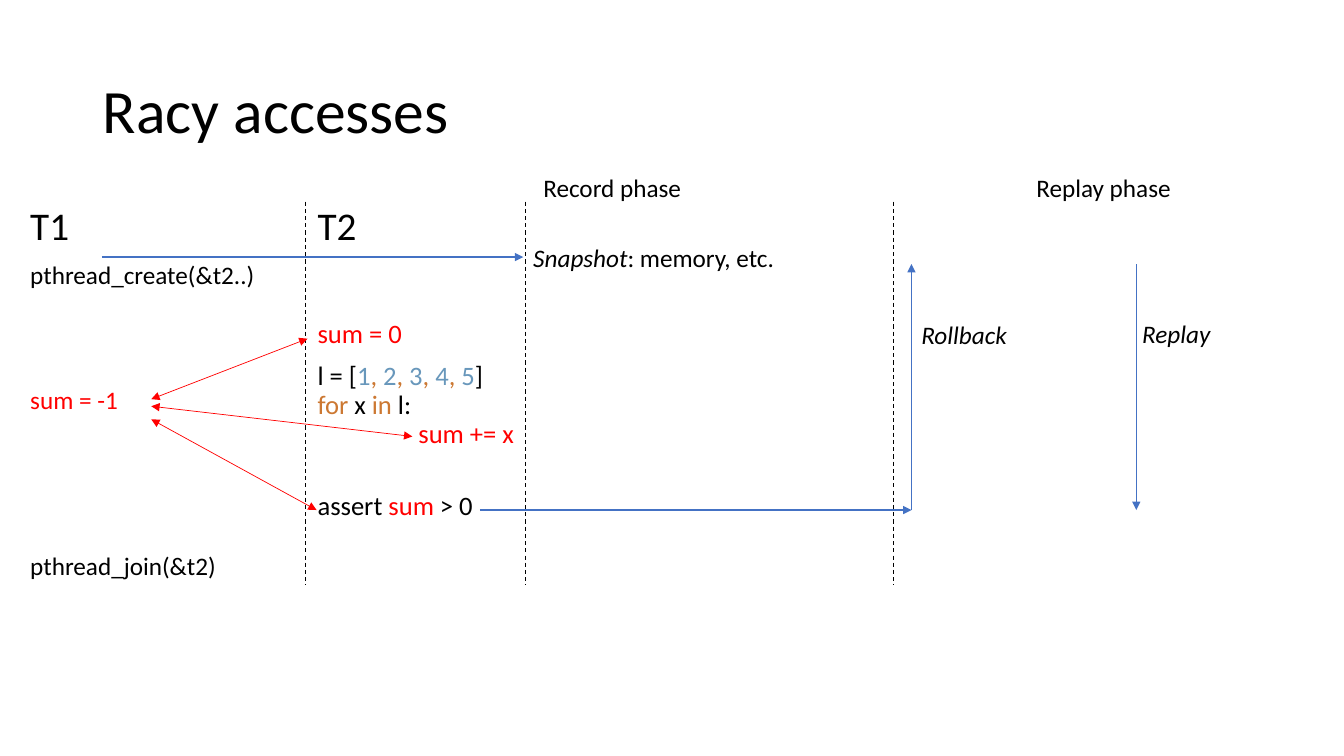
"""Build the slide on racy accesses between two threads."""
from lxml import etree
from pptx import Presentation
from pptx.dml.color import RGBColor
from pptx.enum.dml import MSO_LINE
from pptx.enum.shapes import MSO_CONNECTOR
from pptx.enum.text import MSO_ANCHOR, MSO_AUTO_SIZE, PP_ALIGN
from pptx.oxml.ns import qn
from pptx.util import Inches, Pt

STRAIGHT = MSO_CONNECTOR.STRAIGHT
DASH = MSO_LINE.DASH
TOP, MIDDLE = MSO_ANCHOR.TOP, MSO_ANCHOR.MIDDLE
NO_AUTOFIT = MSO_AUTO_SIZE.NONE
LEFT = PP_ALIGN.LEFT
BLACK, RED, BLUE = "000000", "FF0000", "4472C4"
NUMBER, KEYWORD = "6897BB", "CC7832"


def color(format_object, value):
    format_object.rgb = RGBColor.from_string(value)


def write(paragraph, runs, size, paragraph_format):
    for name, value in paragraph_format.items():
        setattr(paragraph, name, value)
    for text, value, italic in runs:
        run = paragraph.add_run()
        run.text = text
        font_format = {"name": "Calibri", "size": Pt(size), "bold": False, "italic": italic}
        for name, setting in font_format.items():
            setattr(run.font, name, setting)
        color(run.font.color, value)


presentation = Presentation()
presentation.slide_width = Inches(13.33)
presentation.slide_height = Inches(7.5)
slide = presentation.slides.add_slide(presentation.slide_layouts[3])
title, thread_one, thread_two = slide.placeholders

list_runs = [("l = [", BLACK, False)]
for number in range(1, 6):
    if number > 1:
        list_runs.append((", ", KEYWORD, False))
    list_runs.append((str(number), NUMBER, False))
list_runs.append(("]", BLACK, False))

title_lines = [([("Racy accesses", BLACK, False)], 44, 0, 0)]
thread_one_lines = [
    ([("T1", BLACK, False)], 28, 10, 0),
    ([("pthread_create(&t2..)", BLACK, False)], 18, 10, 0),
    ([("sum = -1", RED, False)], 18, 69.5, 0),
    ([("pthread_join(&t2)", BLACK, False)], 18, 99.3, 0),
]
thread_two_lines = [
    ([("T2", BLACK, False)], 28, 10, 0),
    ([("sum = 0", RED, False)], 19, 50.8, 0),
    (list_runs, 19, 10, 0),
    ([("for ", KEYWORD, False), ("x ", BLACK, False), ("in ", KEYWORD, False),
      ("l:", BLACK, False)], 19, 0, 0),
    ([("sum += x", RED, False)], 19, 0, 1),
    ([("assert ", BLACK, False), ("sum", RED, False), (" > 0", BLACK, False)], 19, 30.9, 0),
]
placeholders = [
    (title, (0.92, 0.4, 11.5, 1.45), MIDDLE, title_lines),
    (thread_one, (0.2, 2, 3.06, 3.79), TOP, thread_one_lines),
    (thread_two, (3.05, 2, 2.55, 3.41), TOP, thread_two_lines),
]
for shape, box, anchor, lines in placeholders:
    for name, value in zip(("left", "top", "width", "height"), box):
        setattr(shape, name, Inches(value))
    text_frame = shape.text_frame
    frame_format = {"vertical_anchor": anchor, "auto_size": NO_AUTOFIT, "word_wrap": True}
    for name, value in frame_format.items():
        setattr(text_frame, name, value)
    for index, (runs, size, space, indent) in enumerate(lines):
        paragraph = text_frame.add_paragraph() if index else text_frame.paragraphs[0]
        write(paragraph, runs, size, {"alignment": LEFT, "line_spacing": 0.9,
                                      "space_before": Pt(space), "space_after": Pt(0)})
        properties = paragraph._p.get_or_add_pPr()
        properties.set("marL", str(Inches(indent)))
        properties.set("indent", "0")
        etree.SubElement(properties, qn("a:buNone"))

captions = [
    (5.19, 2.35, 2.62, [("Snapshot", BLACK, True), (": memory, etc.", BLACK, False)]),
    (5.29, 1.66, 1.59, [("Record phase", BLACK, False)]),
    (10.18, 1.66, 1.55, [("Replay phase", BLACK, False)]),
    (9.04, 3.12, 1.06, [("Rollback", BLACK, True)]),
    (11.23, 3.11, 0.88, [("Replay", BLACK, True)]),
]
for left, top, width, runs in captions:
    shape = slide.shapes.add_textbox(Inches(left), Inches(top), Inches(width), Inches(0.4))
    shape.text_frame.word_wrap = False
    write(shape.text_frame.paragraphs[0], runs, 18, {"alignment": LEFT})

dividers = [((x, 2), (x, 5.8), BLACK, 0.75, ()) for x in (3.03, 5.21, 8.86)]
arrows = [
    ((1.01, 2.55), (5.19, 2.55), BLUE, 1, ("tailEnd",)),
    ((4.76, 5.06), (9.04, 5.06), BLUE, 1, ("tailEnd",)),
    ((9.04, 5.06), (9.04, 2.62), BLUE, 1, ("tailEnd",)),
    ((11.27, 5.06), (11.27, 2.62), BLUE, 0.5, ("headEnd",)),
]
races = [
    (start, end, RED, 0.5, ("headEnd", "tailEnd"))
    for start, end in (
        ((1.5, 3.96), (3.05, 3.36)),
        ((1.5, 4.03), (4.09, 4.33)),
        ((1.5, 4.16), (3.14, 5.06)),
    )
]
for start, end, value, width, heads in dividers + arrows + races:
    connector = slide.shapes.add_connector(STRAIGHT, *map(Inches, start + end))
    color(connector.line.color, value)
    connector.line.width = Pt(width)
    if not heads:
        connector.line.dash_style = DASH
    for head in heads:
        etree.SubElement(connector.line._get_or_add_ln(), qn(f"a:{head}"), type="triangle")
    etree.SubElement(connector._element.spPr, qn("a:effectLst"))

presentation.save("out.pptx")
